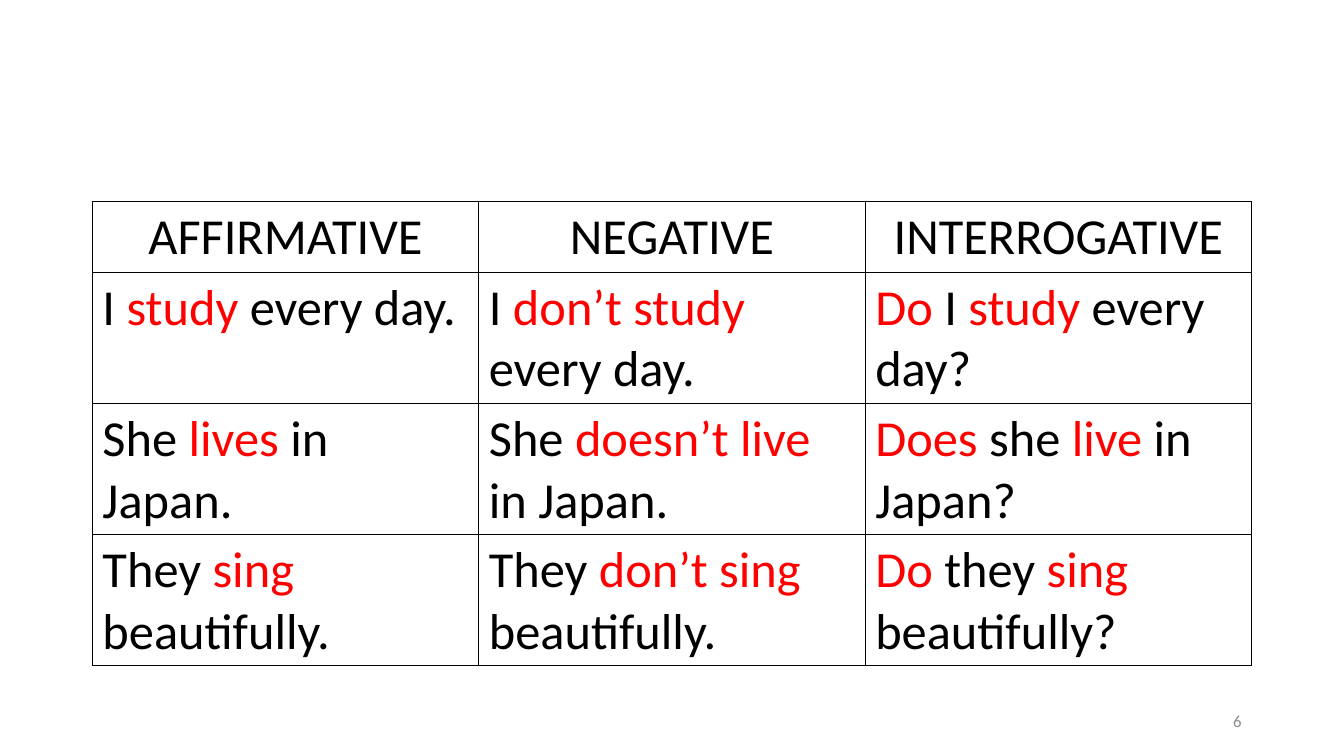
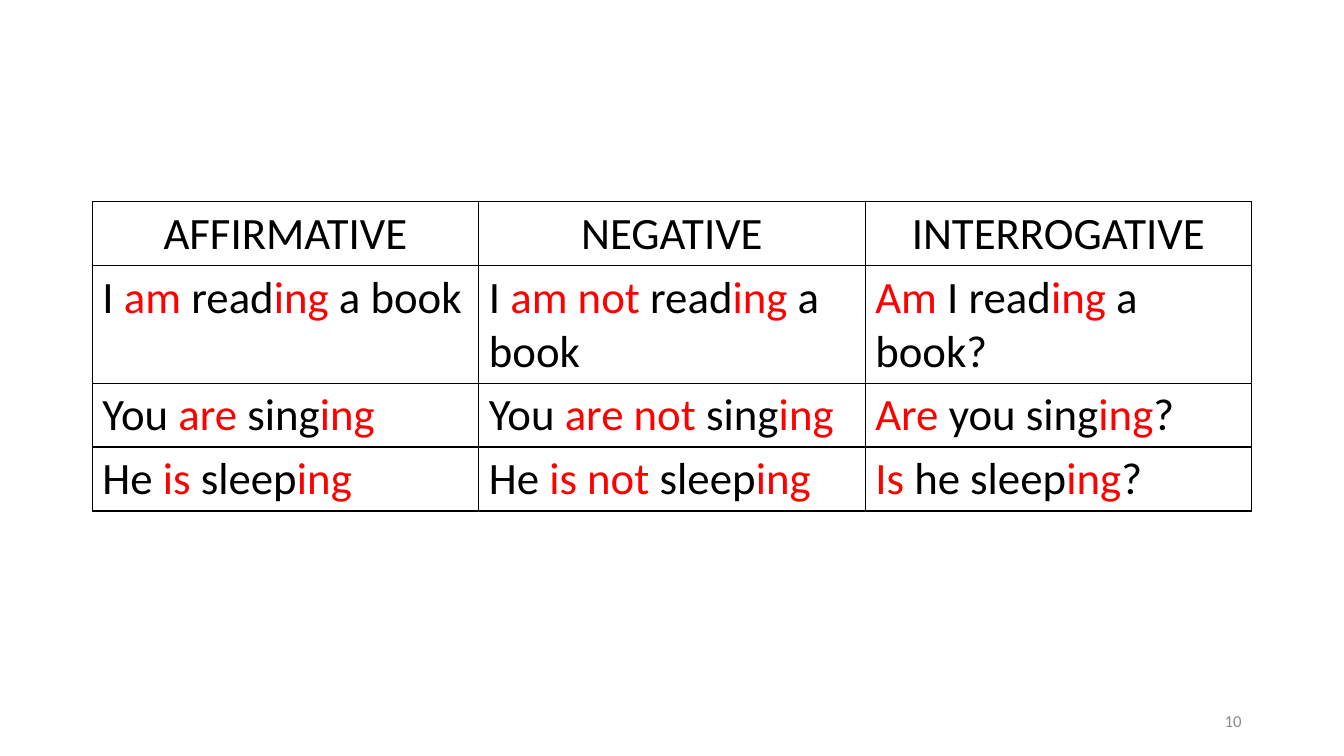
from lxml import etree
from pptx import Presentation
from pptx.dml.color import RGBColor
from pptx.enum.text import MSO_ANCHOR, PP_ALIGN
from pptx.oxml.ns import qn
from pptx.util import Inches, Pt

LEFT, CENTER, RIGHT = PP_ALIGN.LEFT, PP_ALIGN.CENTER, PP_ALIGN.RIGHT
MIDDLE = MSO_ANCHOR.MIDDLE
COLS, ROWS = 160, 90
BLACK, RED, GRAY = "000000", "FF0000", "8C8C8C"
HEADERS = ["AFFIRMATIVE", "NEGATIVE", "INTERROGATIVE"]


def rgb(value):
    return RGBColor.from_string(value)


class Deck:
    """Holds the shared style and the current slide, laid out on a 160 by 90 grid."""

    font = "Calibri"
    table_left, table_top, table_width = 11, 24, 138
    line_spacing, cell_padding = 1.2, 0.1

    def __init__(self):
        self.prs = Presentation()
        self.prs.slide_width, self.prs.slide_height = Inches(13.33), Inches(7.5)
        self.s = None

    def x(self, cols):
        return round(self.prs.slide_width * cols / COLS)

    def y(self, rows):
        return round(self.prs.slide_height * rows / ROWS)

    def slide(self, number):
        self.s = self.prs.slides.add_slide(self.prs.slide_layouts[6])
        self.page_number(number)

    def add_text(self, tf, text, size, color=BLACK, align=LEFT):
        p = tf.paragraphs[0]
        p.alignment = align
        for i, part in enumerate(text.split("*")):
            if part:
                r = p.add_run()
                r.text = part
                for name, value in {"name": self.font, "size": Pt(size)}.items():
                    setattr(r.font, name, value)
                r.font.color.rgb = rgb(RED if i % 2 else color)

    def page_number(self, number):
        box = self.s.shapes.add_textbox(self.x(113), self.y(83.4), self.x(36), self.y(4.8))
        tf = box.text_frame
        for name, value in {"word_wrap": True, "vertical_anchor": MIDDLE}.items():
            setattr(tf, name, value)
        self.add_text(tf, str(number), 12, GRAY, RIGHT)

    def border(self, cell):
        tc_pr = cell._tc.get_or_add_tcPr()
        for side in ("a:lnL", "a:lnR", "a:lnT", "a:lnB"):
            ln = etree.SubElement(tc_pr, qn(side), w=str(Pt(1)))
            fill = etree.SubElement(ln, qn("a:solidFill"))
            etree.SubElement(fill, qn("a:srgbClr"), val=BLACK)

    def table(self, size, lines, sentences):
        rows = [HEADERS] + sentences
        heights = [Inches(n * size * self.line_spacing / 72 + self.cell_padding) for n in lines]
        table = self.s.shapes.add_table(
            len(rows), len(HEADERS), self.x(self.table_left), self.y(self.table_top),
            self.x(self.table_width), sum(heights)).table
        for name in ("first_row", "horz_banding"):
            setattr(table, name, False)
        for i, (texts, height) in enumerate(zip(rows, heights)):
            table.rows[i].height = height
            for j, text in enumerate(texts):
                cell = table.cell(i, j)
                self.border(cell)
                cell.fill.background()
                self.add_text(cell.text_frame, text, size, align=LEFT if i else CENTER)


deck = Deck()

deck.slide(6)
deck.table(36, [1, 2, 2, 2], [
    ["I *study* every day.", "I *don’t study *every day.", "*Do* I *study* every day?"],
    ["She *lives* in Japan.", "She *doesn’t live *in Japan.", "*Does* she *live* in Japan?"],
    ["They *sing* beautifully.", "They *don’t sing *beautifully.", "*Do* they *sing* beautifully?"],
])

deck.slide(10)
deck.table(32, [1, 2, 1, 1], [
    ["I *am* read*ing* a book", "I *am not* read*ing* a book", "*Am* I read*ing* a book?"],
    ["You *are* sing*ing*", "You *are not* sing*ing*", "*Are* you sing*ing*?"],
    ["He *is* sleep*ing*", "He *is not* sleep*ing*", "*Is* he sleep*ing*?"],
])

deck.prs.save("out.pptx")
